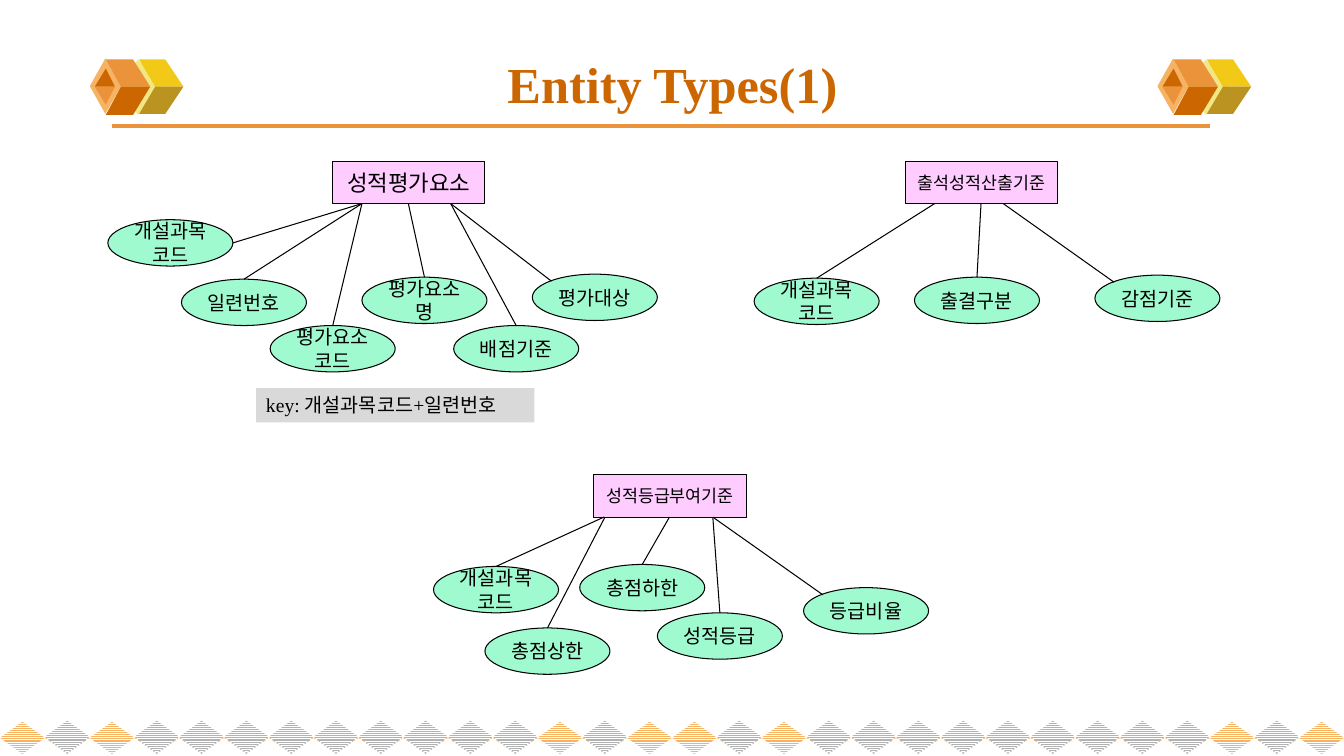
from lxml import etree
from pptx import Presentation
from pptx.dml.color import RGBColor
from pptx.enum import dml, shapes, text
from pptx.oxml import ns
from pptx.util import Inches, Pt

SERIF, KOREAN = "Times New Roman", "Noto Sans CJK KR"
BLACK, ORANGE, AMBER, RUST = "000000", "EB933B", "F5B363", "CC6600"
OVAL_W, OVAL_H = 1.24, 0.46
ENTITY_W, ENTITY_H = 1.51, 0.42
# Where a connector meets an attribute oval, relative to its box
TOP, UPPER_LEFT, RIGHT = (0.62, 0), (0.19, 0.07), (OVAL_W, 0.23)

# Entity name, font size, left, top, then its attributes:
# name, offset of the oval, start of the connector on the entity's lower edge, oval end
ENTITIES = [
    ("성적등급부여기준", 12.4, 5.89, 4.71, [
        ("개설과목코드", -1.59, 0.91, 0.1, TOP),
        ("총점상한", -1.08, 1.52, 0.11, TOP),
        ("총점하한", -0.14, 0.89, 0.75, TOP),
        ("성적등급", 0.63, 1.37, 1.18, TOP),
        ("등급비율", 2.08, 1.12, 1.18, UPPER_LEFT),
    ]),
    ("출석성적산출기준", 12.4, 8.98, 1.6, [
        ("개설과목코드", -1.5, 1.16, 0.29, TOP),
        ("출결구분", 0.09, 1.15, 0.75, TOP),
        ("감점기준", 1.88, 1.13, 0.97, UPPER_LEFT),
    ]),
    ("성적평가요소", 16, 3.3, 1.6, [
        ("개설과목코드", -2.23, 0.58, 0.29, RIGHT),
        ("일련번호", -1.5, 1.17, 0.29, TOP),
        ("평가요소코드", -0.62, 1.63, 0.29, TOP),
        ("평가요소명", 0.29, 1.15, 0.75, TOP),
        ("배점기준", 1.2, 1.63, 1.17, TOP),
        ("평가대상", 1.98, 1.12, 1.17, UPPER_LEFT),
    ]),
]


def rgb(color):
    return RGBColor.from_string(color)


def write(sp, words, size, font=KOREAN, color=BLACK, bold=False,
          align=text.PP_ALIGN.CENTER, anchor=text.MSO_ANCHOR.MIDDLE, margins=None):
    tf = sp.text_frame
    tf.word_wrap = True
    tf.vertical_anchor = anchor
    if margins is not None:
        tf.margin_left = tf.margin_right = Inches(margins)
        tf.margin_top = tf.margin_bottom = Inches(margins)
    p = tf.paragraphs[0]
    p.alignment = align
    r = p.add_run()
    r.text = words
    r.font.size, r.font.name, r.font.bold = Pt(size), font, bold
    r.font.color.rgb = rgb(color)
    ea = etree.SubElement(r.font._element, ns.qn("a:ea"))
    ea.set("typeface", KOREAN)


def paint(sp, fill, outline=None):
    sp.shadow.inherit = False
    sp.fill.solid()
    sp.fill.fore_color.rgb = rgb(fill)
    if outline:
        sp.line.color.rgb = rgb(outline)
        sp.line.width = Pt(0.75)
    else:
        sp.line.fill.background()


def add_box(slide, kind, x, y, w, h, fill, outline=None):
    sp = slide.shapes.add_shape(kind, Inches(x), Inches(y), Inches(w), Inches(h))
    paint(sp, fill, outline)
    return sp


def add_line(slide, x1, y1, x2, y2, color=BLACK, width=0.75):
    line = slide.shapes.add_connector(
        shapes.MSO_CONNECTOR.STRAIGHT, Inches(x1), Inches(y1), Inches(x2), Inches(y2))
    line.line.color.rgb = rgb(color)
    line.line.width = Pt(width)
    etree.SubElement(line._element.spPr, ns.qn("a:effectLst"))


def add_polygon(slide, x, y, points, fill):
    start, *rest = [(Inches(x + px), Inches(y + py)) for px, py in points]
    builder = slide.shapes.build_freeform(*start)
    builder.add_line_segments(rest, close=True)
    paint(builder.convert_to_shape(), fill)


def add_cubes(slide, x, y):
    """Pair of cubes seen from the corner, used on both sides of the title."""
    diamond = shapes.MSO_SHAPE.DIAMOND
    mid = 0.28
    add_box(slide, diamond, x + 0.26, y + 0.01, 0.44, 0.55, "F1E785")
    for far, fill in ((0.01, "F3C917"), (0.55, "BB9321")):
        add_polygon(slide, x, y, [(0.65, mid), (0.93, mid), (0.75, far), (0.49, far)], fill)
    add_box(slide, diamond, x, y, 0.31, 0.55, AMBER)
    for far, tip, face, hole in ((0.01, 0.1, ORANGE, RUST), (0.56, 0.46, RUST, ORANGE)):
        add_polygon(slide, x, y, [(0.31, mid), (0.6, mid), (0.43, far), (0.16, far)], face)
        add_polygon(slide, x, y, [(0.16, tip), (0.05, mid), (0.25, mid)], hole)


def add_header(slide, x, y, w, title):
    add_line(slide, x + 0.44, y + 0.8, x + w - 0.67, y + 0.8, ORANGE, 2.25)
    for left in (x + 0.22, x + 10.81):
        add_cubes(slide, left, y + 0.13)
    sp = slide.shapes.add_textbox(Inches(x), Inches(y), Inches(w), Inches(0.76))
    write(sp, title, 36, SERIF, RUST, bold=True)


def add_diamond_band(slide, y, w):
    """Row of striped diamonds; most columns carry a grey one over the orange one."""
    columns = 30
    step = w / columns
    orange_only = {0, 2, 12, 14, 15, 17, 27, 29}
    for i in range(columns):
        layers = [(y + 0.01, AMBER)]
        if i not in orange_only:
            layers.append((y, "B2B2B2"))
        for top, color in layers:
            sp = add_box(slide, shapes.MSO_SHAPE.DIAMOND, i * step, top, step, 0.32, color)
            sp.fill.patterned()
            sp.fill.pattern = dml.MSO_PATTERN.NARROW_HORIZONTAL
            sp.fill.fore_color.rgb = rgb(color)
            sp.fill.back_color.rgb = rgb("FFFFFF")


def add_entity(slide, name, size, x, y, attributes):
    sp = add_box(slide, shapes.MSO_SHAPE.RECTANGLE, x, y, ENTITY_W, ENTITY_H, "FFCCFF", BLACK)
    write(sp, name, size, margins=0.04)
    for label, dx, dy, start, (end_x, end_y) in attributes:
        left, top = x + dx, y + dy
        oval = add_box(slide, shapes.MSO_SHAPE.OVAL, left, top, OVAL_W, OVAL_H, "A0FACF", BLACK)
        write(oval, label, 14, margins=0.04)
        add_line(slide, x + start, y + ENTITY_H, left + end_x, top + end_y)


def add_key_note(slide, x, y, w, h):
    sp = add_box(slide, shapes.MSO_SHAPE.RECTANGLE, x, y, w, h, "D9D9D9")
    write(sp, "key: 개설과목코드+일련번호", 14, SERIF,
          align=text.PP_ALIGN.LEFT, anchor=text.MSO_ANCHOR.TOP)


def main():
    prs = Presentation()
    prs.slide_width, prs.slide_height = Inches(13.33), Inches(7.5)
    slide = prs.slides.add_slide(prs.slide_layouts[6])
    add_diamond_band(slide, 7.15, 13.33)
    add_header(slide, 0.67, 0.45, 12, "Entity Types(1)")
    for entity in ENTITIES:
        add_entity(slide, *entity)
    add_key_note(slide, 2.54, 3.85, 2.76, 0.34)
    prs.save("out.pptx")


if __name__ == "__main__":
    main()
